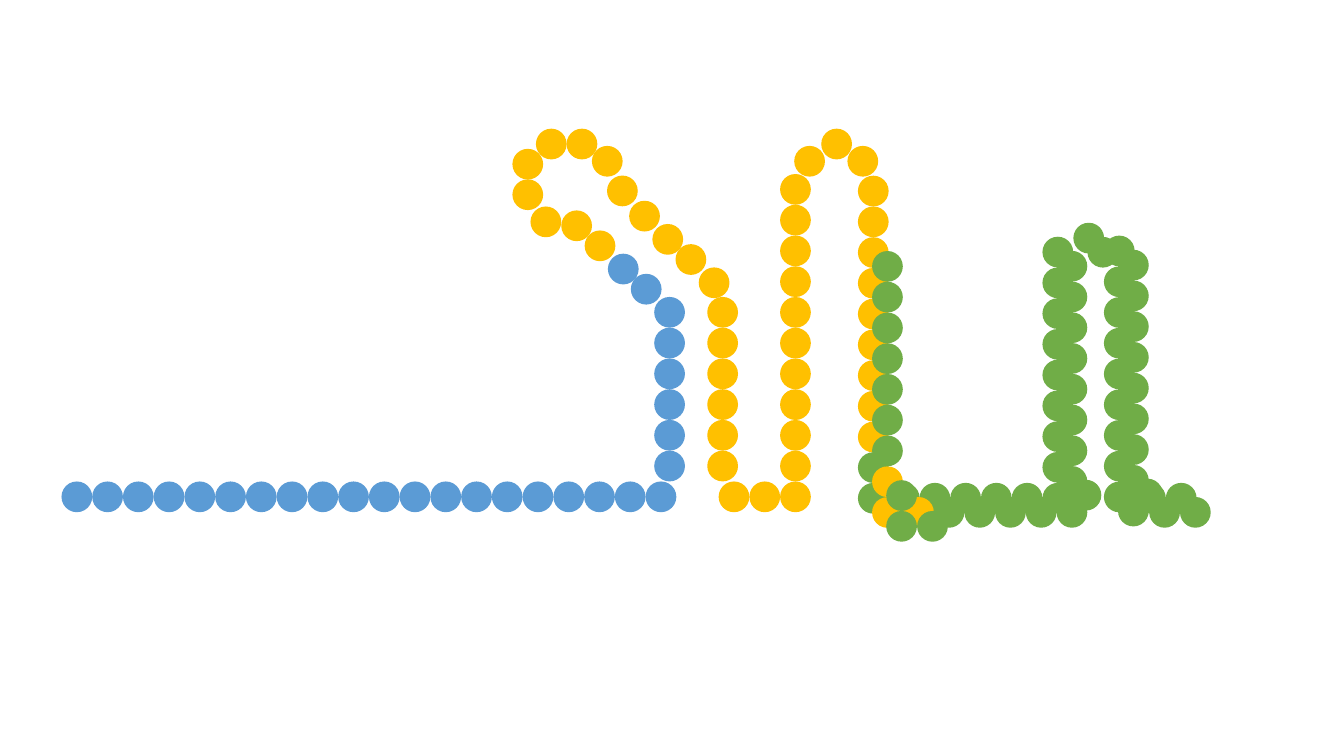
from dataclasses import dataclass

from pptx import Presentation
from pptx.dml.color import RGBColor
from pptx.enum.shapes import MSO_SHAPE
from pptx.shapes.shapetree import GroupShapes, SlideShapes
from pptx.util import Pt

OVAL = MSO_SHAPE.OVAL
BLUE, YELLOW, GREEN = "5B9BD5", "FFC000", "70AD47"
DOT = 21.96
LAYER_SHIFT = 10.08
BASE_Y = 343.9
GREEN_Y = 344.9


@dataclass(frozen=True)
class Run:
    color: str
    x: float
    y: float
    count: int = 1
    down: bool = False
    grouped: bool = False


def dots(color: str, points: list[tuple[float, float]]) -> list[Run]:
    return [Run(color, x, y) for x, y in points]


def row(color: str, x: float, y: float, count: int, grouped: bool = False) -> Run:
    return Run(color, x, y, count, grouped=grouped)


def column(color: str, x: float, y: float, count: int) -> Run:
    return Run(color, x, y, count, down=True)


def add_dot(shapes: SlideShapes | GroupShapes, x: float, y: float, color: str) -> None:
    sp = shapes.add_shape(OVAL, Pt(x), Pt(y), Pt(DOT), Pt(DOT))
    sp.shadow.inherit = False
    sp.fill.solid()
    sp.fill.fore_color.rgb = RGBColor.from_string(color)
    sp.line.fill.background()


def draw(shapes: SlideShapes, runs: list[Run], shift: float = 0) -> None:
    for run in runs:
        target = shapes.add_group_shape().shapes if run.grouped else shapes
        dx, dy = (0, DOT) if run.down else (DOT, 0)
        for i in range(run.count):
            add_dot(target, run.x + shift + i * dx, run.y + shift + i * dy, run.color)


BLUE_STRAND = [
    row(BLUE, 43.9, BASE_Y, 20),
    column(BLUE, 467.3, 212.1, 6),
    *dots(BLUE, [(450.6, 195.6), (434.2, 181.2)]),
]

GREEN_START = [
    column(GREEN, 612.8, 323, 2),
    *dots(GREEN, [(635, GREEN_Y)]),
]

GREEN_STRAND = [
    row(GREEN, 656.8, GREEN_Y, 2),
    row(GREEN, 700.7, GREEN_Y, 3, grouped=True),
    column(GREEN, 744.6, 169.1, 8),
    *dots(GREEN, [(766.7, 159.1)]),
    column(GREEN, 788.5, 168.3, 9),
    row(GREEN, 810.8, GREEN_Y, 2),
]

GREEN_JOINTS = dots(GREEN, [(764.7, 342.7), (808.6, 341.9)])

YELLOW_LOOP = [
    *dots(YELLOW, [
        (417.6, 164.6), (400.9, 150.3), (378.9, 147.5), (366, 128.1), (366, 106.3),
        (382.8, 91.9), (404.7, 91.9), (422.8, 104.2), (433.6, 125.4), (449.4, 143.4),
        (466, 160), (482.5, 174.4), (499.1, 191),
    ]),
    column(YELLOW, 505.2, 212.1, 6),
    row(YELLOW, 513.3, BASE_Y, 3),
    column(YELLOW, 557.2, 124.3, 10),
    *dots(YELLOW, [(567.3, 104.2), (586.6, 91.9), (605.3, 104.2)]),
    column(YELLOW, 612.8, 125.5, 9),
]

CROSSING = [
    column(YELLOW, 622.9, 333.1, 2),
    *dots(YELLOW, [(645.1, 355)]),
    column(GREEN, 622.9, 179.3, 7),
    column(GREEN, 633, 343, 2),
    *dots(GREEN, [(655.1, 365)]),
]


def main() -> None:
    prs = Presentation()
    prs.slide_width, prs.slide_height = Pt(960), Pt(540)
    s = prs.slides.add_slide(prs.slide_layouts[6])
    for strand in (BLUE_STRAND, GREEN_START, GREEN_STRAND, YELLOW_LOOP, CROSSING):
        draw(s.shapes, strand)
    draw(s.shapes, GREEN_STRAND, LAYER_SHIFT)
    draw(s.shapes, GREEN_JOINTS)
    prs.save("out.pptx")


if __name__ == "__main__":
    main()
